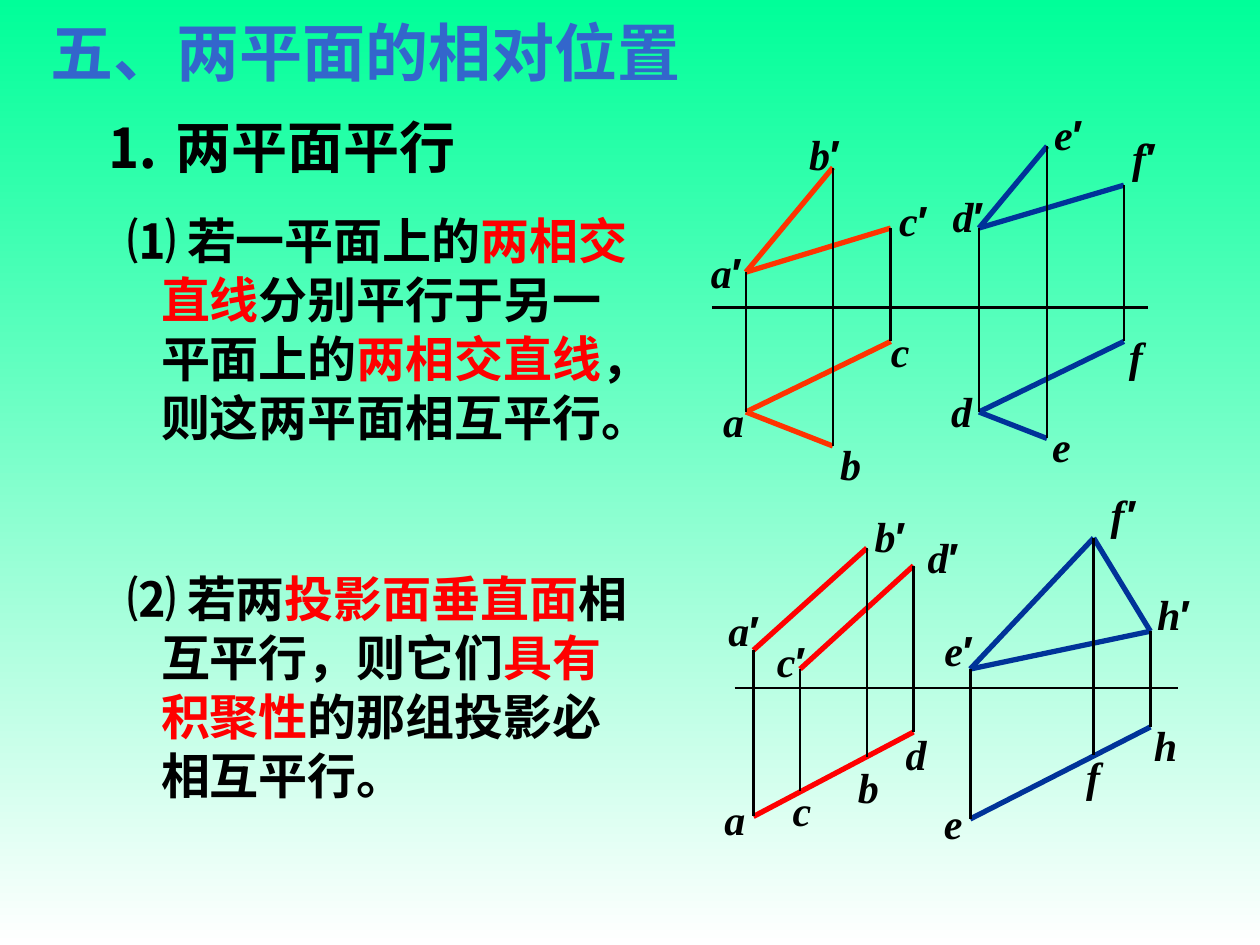
from typing import NamedTuple

from lxml.etree import SubElement
from pptx import Presentation
from pptx.dml.color import RGBColor
from pptx.enum.shapes import MSO_CONNECTOR as Connector
from pptx.enum.text import MSO_ANCHOR as Anchor, PP_ALIGN as Align
from pptx.oxml.ns import qn
from pptx.util import Inches, Pt

BLACK, RED, ORANGE, NAVY = "000000", "FF0000", "FF3300", "003399"
CJK, SERIF, SANS, TITLE_FACE = "Noto Sans CJK SC", "Times New Roman", "Arial", "Roboto"
LABEL_WIDTHS = {"a": 0.36, "b": 0.36, "c": 0.35, "d": 0.36, "e": 0.35, "f": 0.31, "h": 0.38}
PRIME, PRIME_WIDTH, LABEL_HEIGHT = "′", 0.11, 0.5


class Span(NamedTuple):
    text: str
    colour: str = BLACK
    face: str = CJK
    italic: bool = False


class Vertex(NamedTuple):
    x: float
    y: float
    label_left: float
    label_top: float


class Edge(NamedTuple):
    start: str
    end: str
    colour: str


class Figure(NamedTuple):
    axis: tuple[float, float, float]  # left, right, height on the page
    vertices: dict[str, Vertex]
    edges: list[Edge]
    heavy: str = ""  # vertex whose projector is thicker
    slanted: str = ""  # vertex whose prime is italic


def rgb(colour: str) -> RGBColor:
    return RGBColor.from_string(colour)


def draw_text(shapes, left: float, top: float, width: float, height: float,
              lines: list[list[Span]], size: float, wrap: bool = False,
              align=Align.LEFT, hang: float = 0, pitch: float = 0) -> None:
    """Write each line as a paragraph; lines after the first are indented by hang."""
    box = shapes.add_textbox(Inches(left), Inches(top), Inches(width), Inches(height))
    frame = box.text_frame
    frame.word_wrap = wrap
    frame.vertical_anchor = Anchor.MIDDLE
    for index, line in enumerate(lines):
        para = frame.add_paragraph() if index else frame.paragraphs[0]
        para.alignment = align
        if pitch:
            para.line_spacing = Pt(pitch)
        if index and hang:
            para._p.get_or_add_pPr().set("marL", str(Inches(hang)))
        for span in line:
            run = para.add_run()
            run.text = span.text
            font = run.font
            font.size, font.bold, font.italic = Pt(size), True, span.italic
            font.color.rgb = rgb(span.colour)
            font.name = span.face
            SubElement(run._r.get_or_add_rPr(), qn("a:ea"), typeface=span.face)


def draw_line(shapes, x1: float, y1: float, x2: float, y2: float,
              colour: str = BLACK, width: float = 1.5) -> None:
    line = shapes.add_connector(Connector.STRAIGHT, Inches(x1), Inches(y1),
                                Inches(x2), Inches(y2))
    line.line.color.rgb = rgb(colour)
    line.line.width = Pt(width)
    SubElement(line._element.spPr, qn("a:effectLst"))


def draw_figure(page, figure: Figure) -> None:
    shapes = page.shapes.add_group_shape().shapes
    left, right, height = figure.axis
    draw_line(shapes, left, height, right, height)
    for edge in figure.edges:
        start, end = figure.vertices[edge.start], figure.vertices[edge.end]
        draw_line(shapes, start.x, start.y, end.x, end.y, edge.colour, 3)
    for name, vertex in figure.vertices.items():
        letter, primed = name[0], name.endswith(PRIME)
        spans = [Span(letter, face=SERIF, italic=True)]
        if primed:
            # Projector down to the matching horizontal projection
            foot = figure.vertices[letter]
            draw_line(shapes, vertex.x, vertex.y, foot.x, foot.y,
                      width=2.25 if letter == figure.heavy else 1.5)
            spans.append(Span(PRIME, face=SANS, italic=letter == figure.slanted))
        draw_text(shapes, vertex.label_left, vertex.label_top,
                  LABEL_WIDTHS[letter] + PRIME_WIDTH * primed, LABEL_HEIGHT,
                  [spans], 24, align=Align.CENTER)


RULE_ONE = [
    [Span("⑴ 若一平面上的"), Span("两相交", RED)],
    [Span("直线", RED), Span("分别平行于另一")],
    [Span("平面上的"), Span("两相交直线", RED), Span("，")],
    [Span("则这两平面相互平行。")],
]
RULE_TWO = [
    [Span("⑵ 若两"), Span("投影面垂直面", RED), Span("相")],
    [Span("互平行，则它们"), Span("具有", RED)],
    [Span("积聚性", RED), Span("的那组投影必")],
    [Span("相互平行。")],
]

PARALLEL_PLANES = Figure(
    axis=(5.65, 9.11, 2.44),
    vertices={
        "a′": Vertex(5.92, 2.16, 5.53, 1.91), "a": Vertex(5.92, 3.27, 5.64, 3.09),
        "b′": Vertex(6.61, 1.33, 6.31, 0.97), "b": Vertex(6.61, 3.54, 6.57, 3.43),
        "c′": Vertex(7.07, 1.81, 7.02, 1.49), "c": Vertex(7.07, 2.71, 6.97, 2.53),
        "d′": Vertex(7.77, 1.81, 7.45, 1.46), "d": Vertex(7.77, 3.27, 7.45, 3.01),
        "e′": Vertex(8.31, 1.16, 8.25, 0.81), "e": Vertex(8.31, 3.48, 8.25, 3.29),
        "f′": Vertex(8.92, 1.47, 8.87, 0.99), "f": Vertex(8.92, 2.71, 8.86, 2.57),
    },
    edges=[Edge("a′", "b′", ORANGE), Edge("a′", "c′", ORANGE),
           Edge("a", "b", ORANGE), Edge("a", "c", ORANGE),
           Edge("d′", "e′", NAVY), Edge("d′", "f′", NAVY),
           Edge("d", "e", NAVY), Edge("d", "f", NAVY)],
)
VERTICAL_PLANES = Figure(
    axis=(5.83, 9.35, 5.46),
    vertices={
        "a′": Vertex(5.98, 5.16, 5.67, 4.75), "a": Vertex(5.98, 6.48, 5.65, 6.25),
        "b′": Vertex(6.88, 4.35, 6.83, 4.00), "b": Vertex(6.88, 6.01, 6.71, 5.99),
        "c′": Vertex(6.35, 5.31, 6.05, 4.99), "c": Vertex(6.35, 6.28, 6.19, 6.18),
        "d′": Vertex(7.25, 4.49, 7.25, 4.17), "d": Vertex(7.25, 5.81, 7.09, 5.73),
        "e′": Vertex(7.70, 5.31, 7.38, 4.91), "e": Vertex(7.70, 6.50, 7.39, 6.28),
        "f′": Vertex(8.68, 4.27, 8.70, 3.83), "f": Vertex(8.68, 5.99, 8.52, 5.91),
        "h′": Vertex(9.13, 5.01, 9.07, 4.62), "h": Vertex(9.13, 5.77, 9.06, 5.66),
    },
    edges=[Edge("a′", "b′", RED), Edge("c′", "d′", RED), Edge("a", "d", RED),
           Edge("e′", "f′", NAVY), Edge("e′", "h′", NAVY),
           Edge("f′", "h′", NAVY), Edge("e", "h", NAVY)],
    heavy="a",
    slanted="f",
)


def main() -> None:
    deck = Presentation()
    deck.slide_width, deck.slide_height = Inches(10), Inches(7.5)
    page = deck.slides.add_slide(deck.slide_layouts[6])

    # Background fading downwards from green to white
    fill = page.background.fill
    fill.gradient()
    fill.gradient_angle = 270
    for stop, colour in zip(fill.gradient_stops, ("00FF99", "FFFFFF")):
        stop.color.rgb = rgb(colour)

    # Headings
    draw_text(page.shapes, 0.3, 0.06, 5.2, 0.7,
              [[Span("五、两平面的相对位置", "3366CC", TITLE_FACE)]], 36)
    draw_text(page.shapes, 0.74, 0.84, 3.2, 0.64,
              [[Span("⒈ 两平面平行", face=TITLE_FACE)]], 32, wrap=True)

    # Rules
    draw_text(page.shapes, 0.91, 1.62, 4.45, 1.97, RULE_ONE, 28, True, hang=0.27, pitch=33.7)
    draw_text(page.shapes, 0.91, 4.46, 4.35, 1.97, RULE_TWO, 28, True, hang=0.27, pitch=33.7)

    # Projection drawings
    for figure in (PARALLEL_PLANES, VERTICAL_PLANES):
        draw_figure(page, figure)

    deck.save("out.pptx")


if __name__ == "__main__":
    main()
